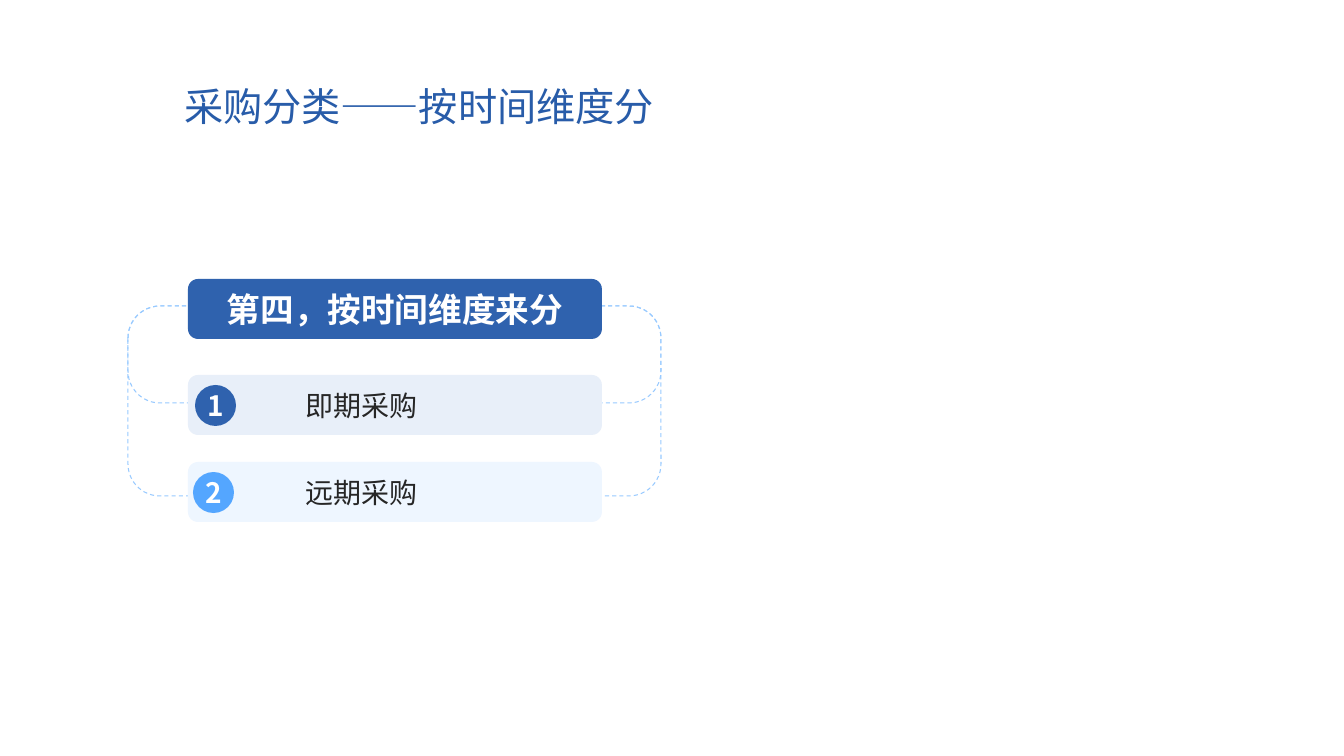
from dataclasses import dataclass

from pptx import Presentation
from pptx.dml.color import RGBColor
from pptx.enum.dml import MSO_LINE_DASH_STYLE as DASH
from pptx.enum.shapes import MSO_SHAPE as SHAPE
from pptx.enum.text import MSO_ANCHOR as ANCHOR
from pptx.enum.text import MSO_AUTO_SIZE as AUTO_SIZE
from pptx.enum.text import PP_ALIGN as ALIGN
from pptx.oxml.ns import qn
from pptx.shapes.autoshape import Shape
from pptx.slide import Slide
from pptx.util import Emu, Pt

EMU_PER_PX = 914400 / 100.8
TITLE_FONT = "Noto Sans CJK SC"
BODY_FONT = "Noto Sans CJK JP"
COLORS = {
    "title": "285CA9",
    "deep": "2F62AE",
    "bright": "54A6FF",
    "loop": "98CAFF",
    "pale_gray": "E8EFF9",
    "pale_blue": "EEF6FF",
    "ink": "262626",
    "white": "FFFFFF",
}
BAR_LEFT, BAR_WIDTH, BAR_HEIGHT = 188, 414, 60
LOOP_LEFT, LOOP_TOP, LOOP_WIDTH, LOOP_RADIUS = 128, 306, 533, 32
BADGE_SIZE = 41


@dataclass(frozen=True)
class Item:
    number: str
    label: str
    top: int
    fill: str
    badge_left: int
    badge_fill: str


ITEMS = [
    Item("1", "即期采购", 375, "pale_gray", 195, "deep"),
    Item("2", "远期采购", 462, "pale_blue", 193, "bright"),
]
LOOP_HEIGHTS = [97, 190]


def px(n: int) -> Emu:
    return Emu(round(n * EMU_PER_PX))


def rgb(color: str) -> RGBColor:
    return RGBColor.from_string(COLORS[color])


def set_text(sp: Shape, text: str, size: int, color: str, font: str = BODY_FONT,
             bold: bool = False, align: ALIGN = ALIGN.CENTER, wrap: bool = True) -> None:
    tf = sp.text_frame
    tf.text = text
    tf.auto_size = AUTO_SIZE.NONE
    tf.word_wrap = wrap
    tf.vertical_anchor = ANCHOR.MIDDLE
    p = tf.paragraphs[0]
    p.alignment = align
    r = p.runs[0]
    r.font.size = Pt(size)
    r.font.bold = bold
    r.font.color.rgb = rgb(color)
    r.font.name = font
    r.font._element.get_or_add_latin().addnext(
        r.font._element.makeelement(qn("a:ea"), {"typeface": font}))


def add_filled(slide: Slide, kind: SHAPE, left: int, top: int,
               width: int, height: int, fill: str) -> Shape:
    sp = slide.shapes.add_shape(kind, px(left), px(top), px(width), px(height))
    sp.shadow.inherit = False
    sp.fill.solid()
    sp.fill.fore_color.rgb = rgb(fill)
    sp.line.fill.background()
    return sp


def add_bar(slide: Slide, top: int, fill: str) -> Shape:
    return add_filled(slide, SHAPE.ROUNDED_RECTANGLE, BAR_LEFT, top,
                      BAR_WIDTH, BAR_HEIGHT, fill)


def add_loop(slide: Slide, height: int) -> None:
    sp = slide.shapes.add_shape(SHAPE.ROUNDED_RECTANGLE, px(LOOP_LEFT), px(LOOP_TOP),
                                px(LOOP_WIDTH), px(height))
    sp.adjustments[0] = LOOP_RADIUS / height
    sp.shadow.inherit = False
    sp.fill.background()
    sp.line.color.rgb = rgb("loop")
    sp.line.width = Pt(0.75)
    sp.line.dash_style = DASH.DASH


def add_item(slide: Slide, item: Item) -> None:
    bar = add_bar(slide, item.top, item.fill)
    set_text(bar, item.label, 20, "ink", align=ALIGN.LEFT)
    bar.text_frame.margin_left = px(115)
    badge_top = item.top + (BAR_HEIGHT - BADGE_SIZE + 1) // 2
    badge = add_filled(slide, SHAPE.OVAL, item.badge_left, badge_top,
                       BADGE_SIZE, BADGE_SIZE, item.badge_fill)
    set_text(badge, item.number, 20, "white", bold=True, wrap=False)


def add_title(slide: Slide) -> None:
    title = slide.shapes.title
    title.left, title.top, title.width, title.height = px(174), px(73), px(498), px(65)
    set_text(title, "采购分类——按时间维度分", 28, "title", TITLE_FONT, align=ALIGN.LEFT)


def main() -> None:
    prs = Presentation()
    prs.slide_width, prs.slide_height = px(1344), px(756)
    slide = prs.slides.add_slide(prs.slide_layouts[5])
    add_title(slide)
    for height in LOOP_HEIGHTS:
        add_loop(slide, height)
    banner = add_bar(slide, 279, "deep")
    set_text(banner, "第四，按时间维度来分", 24, "white", bold=True)
    for item in ITEMS:
        add_item(slide, item)
    prs.save("out.pptx")


if __name__ == "__main__":
    main()
